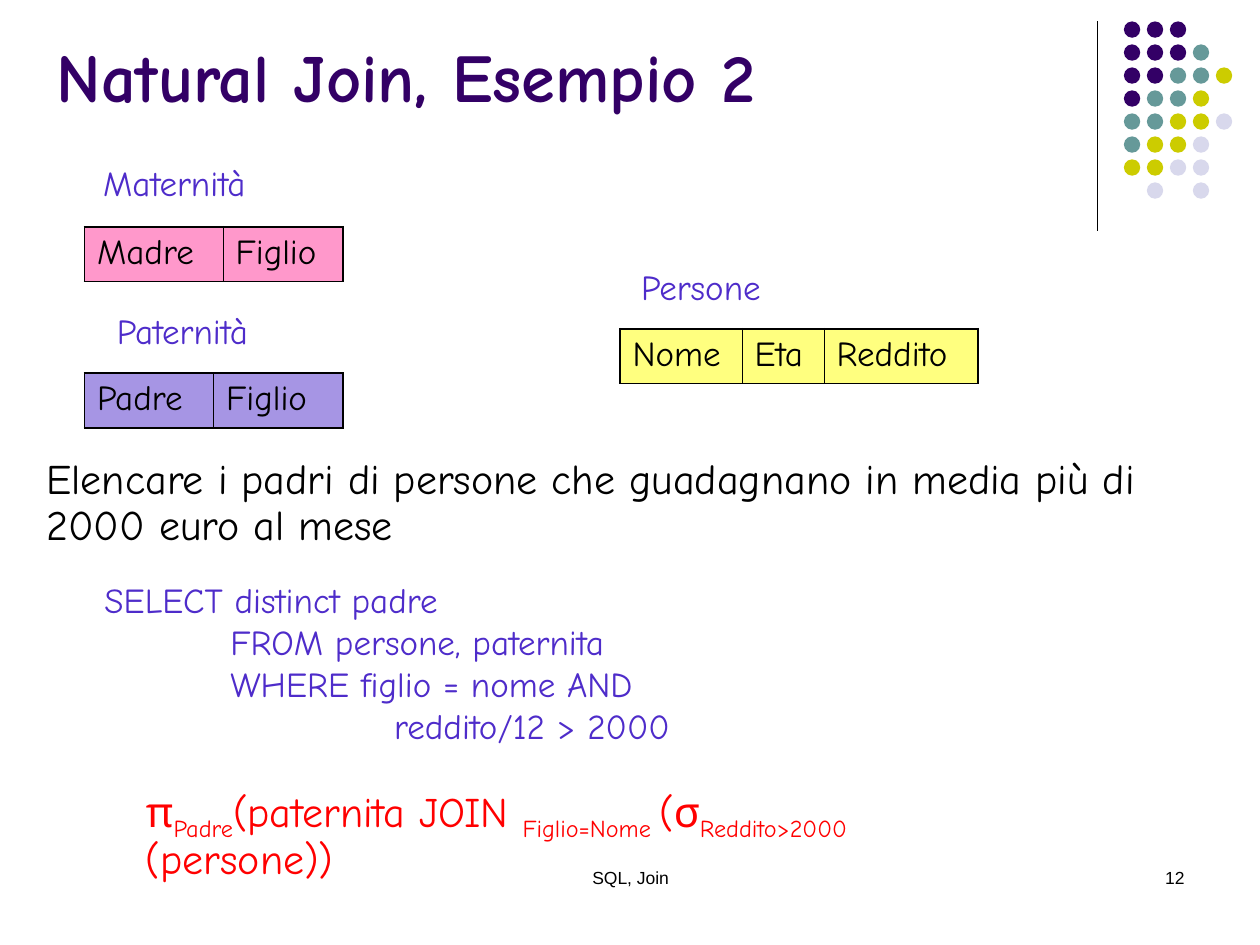
import pptx
import pptx.dml.color
import pptx.enum.shapes
import pptx.enum.text
import pptx.oxml
import pptx.oxml.ns
import pptx.util

RGBColor = pptx.dml.color.RGBColor
ALIGN = pptx.enum.text.PP_ALIGN
ANCHOR = pptx.enum.text.MSO_ANCHOR

BLACK = RGBColor(0x00, 0x00, 0x00)
PURPLE = RGBColor(0x33, 0x00, 0x66)
TEAL = RGBColor(0x66, 0x99, 0x99)
OLIVE = RGBColor(0xCC, 0xCC, 0x00)
LAVENDER = RGBColor(0xD8, 0xD8, 0xEC)
VIOLET = RGBColor(0x4E, 0x2C, 0xCA)
PINK = RGBColor(0xFF, 0x33, 0x99)
YELLOW = RGBColor(0xFF, 0xFF, 0x00)
RED = RGBColor(0xFF, 0x00, 0x00)

COMIC = "Comic Neue"

# The slide is a grid of 100 columns by 75 rows
COLUMNS, ROWS = 100, 75
UNIT = pptx.util.Inches(10) / COLUMNS

DOT_COLORS = {"P": PURPLE, "T": TEAL, "O": OLIVE, "L": LAVENDER}
DOT_ROWS = ["PPP", "PPPT", "PPTTO", "PTTO", "TTOOL", "TOOL", "OOLL", " L L"]
DOT_SIZE = 1.3
DOT_PITCH = 7.3 / 4


def grid(*lengths):
    return [pptx.util.Emu(round(length * UNIT)) for length in lengths]


def add_run(paragraph, text, size, color, font=COMIC, bold=False, baseline=0):
    run = paragraph.add_run()
    run.text = text
    run.font.name = font
    run.font.size = pptx.util.Pt(size)
    run.font.bold = bold
    run.font.color.rgb = color
    if baseline:
        run.font._element.set("baseline", str(baseline * 1000))


def add_text_frame(slide, place, anchor=ANCHOR.TOP):
    frame = slide.shapes.add_textbox(*grid(*place)).text_frame
    frame.word_wrap = True
    frame.vertical_anchor = anchor
    return frame


def add_label(slide, place, text, size=20, color=VIOLET, font=COMIC,
              bold=False, align=ALIGN.LEFT, anchor=ANCHOR.TOP):
    paragraph = add_text_frame(slide, place, anchor).paragraphs[0]
    paragraph.alignment = align
    add_run(paragraph, text, size, color, font, bold)
    return paragraph


def set_spacing(paragraph, before):
    paragraph.line_spacing = 0.9
    paragraph.space_before = pptx.util.Pt(before)


def add_dots(slide, left, top):
    for row, pattern in enumerate(DOT_ROWS):
        for column, key in enumerate(pattern):
            if key == " ":
                continue
            dot = slide.shapes.add_shape(
                pptx.enum.shapes.MSO_SHAPE.OVAL,
                *grid(left + column * DOT_PITCH, top + row * DOT_PITCH,
                      DOT_SIZE, DOT_SIZE))
            dot.shadow.inherit = False
            dot.fill.solid()
            dot.fill.fore_color.rgb = DOT_COLORS[key]
            dot.line.fill.background()


def add_rule(slide, x, top, bottom):
    rule = slide.shapes.add_connector(
        pptx.enum.shapes.MSO_CONNECTOR.STRAIGHT, *grid(x, top, x, bottom))
    rule.line.color.rgb = BLACK
    rule.line.width = pptx.util.Pt(0.75)
    properties = rule._element.spPr
    properties.append(properties.makeelement(pptx.oxml.ns.qn("a:effectLst"), {}))


def style_cell(cell, color, is_first, is_last):
    outer, inner = 1.08, 0.45
    widths = {"lnL": outer if is_first else inner,
              "lnR": outer if is_last else inner, "lnT": outer, "lnB": outer}
    cell.fill.solid()
    cell.fill.fore_color.rgb = color
    properties = cell._tc.get_or_add_tcPr()
    rgb = properties.find(".//" + pptx.oxml.ns.qn("a:srgbClr"))
    rgb.append(rgb.makeelement(pptx.oxml.ns.qn("a:alpha"), {"val": "50000"}))
    # Borders come before the fill
    for index, (side, width) in enumerate(widths.items()):
        properties.insert(index, pptx.oxml.parse_xml(
            f'<a:{side} {pptx.oxml.ns.nsdecls("a")} w="{pptx.util.Pt(width)}">'
            f'<a:solidFill><a:srgbClr val="{BLACK}"/></a:solidFill></a:{side}>'))


def add_schema(slide, left, top, color, fields):
    height = 4.35
    frame = slide.shapes.add_table(
        1, len(fields), *grid(left, top, sum(fields.values()), height))
    table = frame.table
    table.first_row = table.horz_banding = False
    last = len(fields) - 1
    for index, (name, width) in enumerate(fields.items()):
        table.columns[index].width = grid(width)[0]
        cell = table.cell(0, index)
        paragraph = cell.text_frame.paragraphs[0]
        paragraph.space_before = pptx.util.Pt(5)
        add_run(paragraph, name, 20, BLACK)
        style_cell(cell, color, index == 0, index == last)


def add_query(slide, place, lines):
    frame = add_text_frame(slide, place)
    for index, (text, indent) in enumerate(lines):
        paragraph = frame.add_paragraph() if index else frame.paragraphs[0]
        paragraph._p.get_or_add_pPr().set("marL", str(grid(indent)[0]))
        add_run(paragraph, text, 20, VIOLET)


def add_formula(slide, place, parts):
    paragraph = add_text_frame(slide, place).paragraphs[0]
    set_spacing(paragraph, 6)
    for text, baseline in parts:
        add_run(paragraph, text, 24, RED, baseline=baseline)


def main():
    presentation = pptx.Presentation()
    presentation.slide_width, presentation.slide_height = grid(COLUMNS, ROWS)
    slide = presentation.slides.add_slide(presentation.slide_layouts[6])

    # Corner decoration
    add_rule(slide, 87.1, 1.7, 18.3)
    add_dots(slide, 89.2, 1.7)

    # Title and question
    add_label(slide, (3.5, -1.9, 82.5, 11.6), "Natural Join, Esempio 2",
              39, PURPLE, bold=True, anchor=ANCHOR.BOTTOM)
    question = add_label(
        slide, (2.7, 35.9, 94.7, 11),
        "Elencare i padri di persone che guadagnano in media più di 2000 euro al mese",
        24, BLACK)
    set_spacing(question, 6.5)

    # Relations
    add_label(slide, (7.2, 12.3, 14.6, 4.4), "Maternità")
    add_schema(slide, 6.7, 18, PINK, {"Madre": 11, "Figlio": 9.5})
    add_label(slide, (8.3, 24.1, 12.7, 4.4), "Paternità")
    add_schema(slide, 6.7, 29.6, VIOLET, {"Padre": 10.25, "Figlio": 10.25})
    add_label(slide, (49.9, 20.6, 11.6, 4.4), "Persone")
    add_schema(slide, 49.2, 26.1, YELLOW, {"Nome": 9.7, "Eta": 6.5, "Reddito": 12.2})

    # SQL query and its relational algebra
    add_query(slide, (7.3, 45.4, 47, 14.4), [
        ("SELECT distinct padre", 0),
        ("FROM persone, paternita", 10),
        ("WHERE figlio = nome AND", 10),
        ("reddito/12 > 2000", 23),
    ])
    add_formula(slide, (10.6, 61.9, 66, 9), [
        ("π", 0), ("Padre", -25), ("(paternita JOIN ", 0), ("Figlio=Nome ", -25),
        ("(σ", 0), ("Reddito>2000", -25), (" (persone))", 0),
    ])

    # Footer
    add_label(slide, (34.2, 68.3, 31.7, 5), "SQL, Join", 10, BLACK, "Arial",
              align=ALIGN.CENTER)
    add_label(slide, (71.7, 68.3, 23.3, 5), "12", 10, BLACK, "Arial",
              align=ALIGN.RIGHT)

    presentation.save("out.pptx")


if __name__ == "__main__":
    main()
